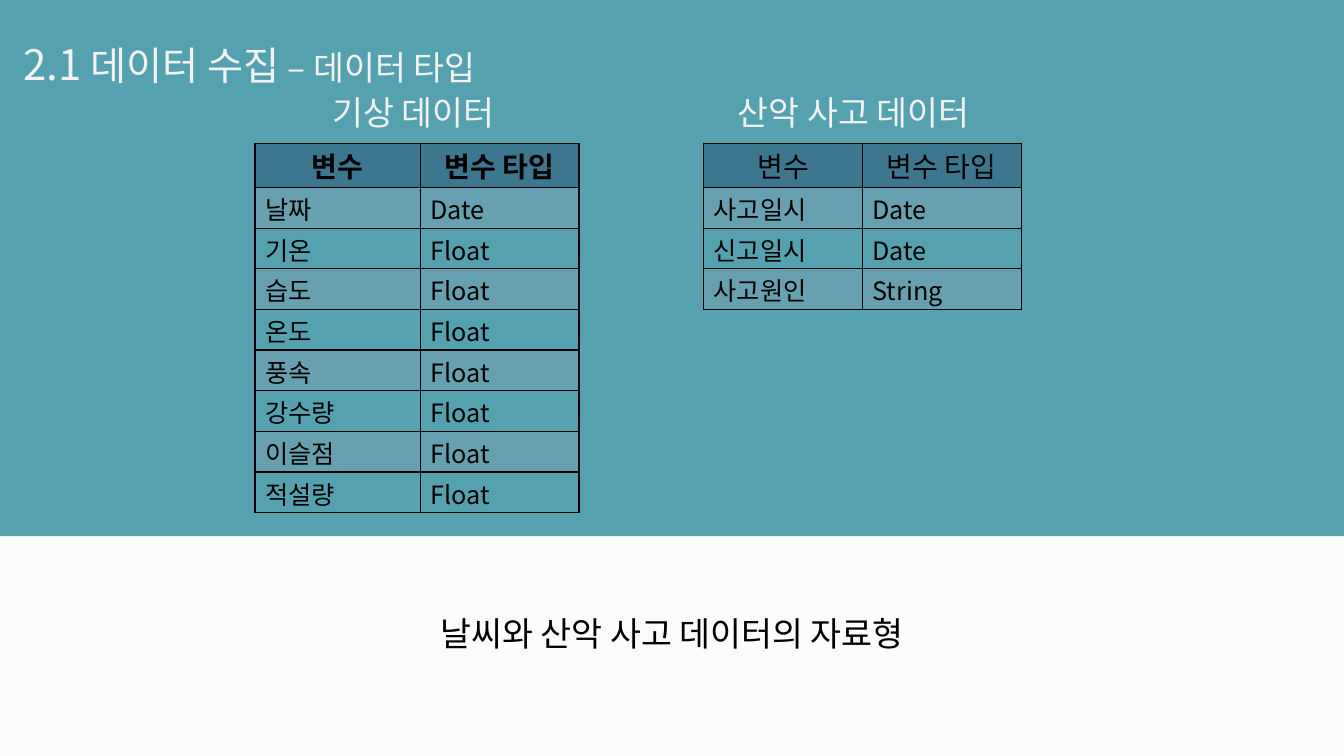
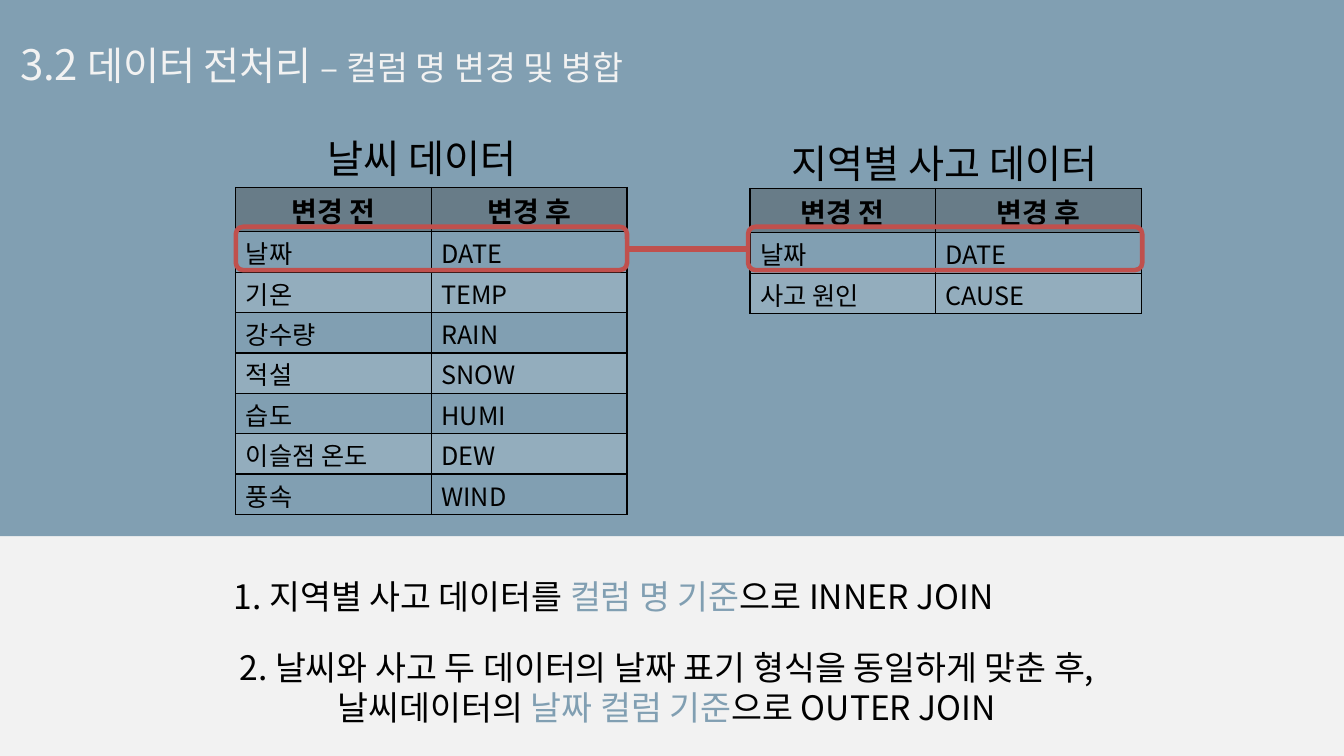
"""Build two slides on the data types and the preprocessing of weather and accident data."""
from lxml.etree import SubElement
from pptx import Presentation
from pptx.dml.color import RGBColor
from pptx.enum.shapes import MSO_CONNECTOR, MSO_SHAPE
from pptx.enum.text import MSO_ANCHOR, PP_ALIGN
from pptx.oxml.ns import qn
from pptx.util import Inches, Pt

WIDTH, HEIGHT = Inches(13.33), Inches(7.5)
FONT = "Noto Sans CJK KR"
BLACK = RGBColor(0, 0, 0)
WHITE = RGBColor(0xFF, 0xFF, 0xFF)
LIGHT = RGBColor(0xF2, 0xF2, 0xF2)
PAPER = RGBColor(0xFC, 0xFC, 0xFC)
TEAL = RGBColor(0x56, 0xA1, 0xB0)
STEEL = RGBColor(0x65, 0x8B, 0xA3)
MIST = RGBColor(0x81, 0x9F, 0xB2)
NAVY = RGBColor(0x17, 0x37, 0x5E)
SLATE = RGBColor(0x68, 0x7C, 0x88)
RED = RGBColor(0xC0, 0x50, 0x4D)
BAND_HEIGHT = 70.93
HEADER_ROW = 5.87


def across(share):
    return int(WIDTH * share / 100)


def down(share):
    return int(HEIGHT * share / 100)


def place(left, top, width, height):
    return across(left), down(top), across(width), down(height)


def paint(fill, color, opacity=100):
    fill.solid()
    fill.fore_color.rgb = color
    if opacity < 100:
        for clr in fill._xPr.iter(qn("a:srgbClr")):
            SubElement(clr, qn("a:alpha"), val=str(opacity * 1000))


def style_run(r, size, color, bold=False):
    r.font.name, r.font.size, r.font.bold = FONT, Pt(size), bold
    r.font.color.rgb = color
    SubElement(r.font._element, qn("a:ea"), typeface=FONT)


def add_text(s, box, paragraphs, align=PP_ALIGN.LEFT, anchor=MSO_ANCHOR.TOP,
             spacing=1, wrap=True):
    tf = s.shapes.add_textbox(*place(*box)).text_frame
    tf.word_wrap, tf.vertical_anchor = wrap, anchor
    for i, runs in enumerate(paragraphs):
        p = tf.add_paragraph() if i else tf.paragraphs[0]
        p.alignment = align
        p.line_spacing = Pt(1.2 * spacing * max(size for _, size, _ in runs))
        for text, size, color in runs:
            r = p.add_run()
            r.text = text
            style_run(r, size, color)


def add_centered(s, box, paragraphs, **options):
    add_text(s, box, paragraphs, align=PP_ALIGN.CENTER, **options)


def add_title(s, left, number, topic, detail):
    runs = [(number, 30, LIGHT), (f" {topic} ", 28, LIGHT), (f"– {detail}", 24, LIGHT)]
    add_text(s, (left, 1.07, 80, 10.67), [runs], spacing=1.5)


def add_band(s, background, color, opacity=100):
    paint(s.background.fill, background)
    sp = s.shapes.add_shape(MSO_SHAPE.RECTANGLE, *place(0, 0, 100, BAND_HEIGHT))
    sp.shadow.inherit = False
    paint(sp.fill, color, opacity)
    sp.line.fill.background()


def add_borders(cell):
    tc_pr = cell._tc.get_or_add_tcPr()
    for side in ("lnL", "lnR", "lnT", "lnB"):
        ln = SubElement(tc_pr, qn(f"a:{side}"), w=str(Pt(1)))
        SubElement(SubElement(ln, qn("a:solidFill")), qn("a:srgbClr"), val=str(BLACK))


def fill_cell(cell, text, paint_args, header, bold):
    size = 20 if header else 18
    add_borders(cell)
    if paint_args:
        paint(cell.fill, *paint_args)
    else:
        cell.fill.background()
    cell.margin_top, cell.margin_bottom = Inches(0.09), Inches(0.01)
    p = cell.text_frame.paragraphs[0]
    p.text = text
    p.line_spacing = Pt(1.2 * size)
    p.alignment = PP_ALIGN.CENTER if header else PP_ALIGN.LEFT
    style_run(p.runs[0], size, BLACK, bold)


def add_data_table(s, corner, columns, row_height, rows, head, stripe, first_stripe, bold=True):
    heights = [HEADER_ROW] + [row_height] * (len(rows) - 1)
    box = place(*corner, sum(columns), sum(heights))
    table = s.shapes.add_table(len(rows), len(columns), *box).table
    table.first_row = table.horz_banding = False
    for column, width in zip(table.columns, columns):
        column.width = across(width)
    for i, (row, values) in enumerate(zip(table.rows, rows)):
        row.height = down(heights[i])
        striped = i % 2 == first_stripe % 2
        paint_args = head if i == 0 else stripe if striped else None
        for cell, value in zip(row.cells, values):
            fill_cell(cell, value, paint_args, i == 0, bold and i == 0)


def add_highlight(s, left, width):
    sp = s.shapes.add_shape(MSO_SHAPE.ROUNDED_RECTANGLE, *place(left, 30, width, 5.73))
    sp.shadow.inherit = False
    sp.fill.background()
    sp.line.color.rgb, sp.line.width = RED, Pt(3.25)


def add_link(s, start, end, top):
    line = s.shapes.add_connector(MSO_CONNECTOR.STRAIGHT, across(start), down(top),
                                  across(end), down(top))
    line.line.color.rgb, line.line.width = RED, Pt(4)
    SubElement(line._element.spPr, qn("a:effectLst"))


def build_types(s):
    add_band(s, PAPER, TEAL)
    add_title(s, 0.98, "2.1", "데이터 수집", "데이터 타입")
    add_text(s, (24, 11.47, 20.33, 6.67), [[("기상 데이터", 24, LIGHT)]])
    add_text(s, (54.16, 11.47, 30.6, 6.67), [[("산악 사고 데이터", 24, LIGHT)]])
    look = {"head": (NAVY, 40), "stripe": (MIST, 40), "first_stripe": 1}
    header = ("변수", "변수 타입")
    floats = ("기온", "습도", "온도", "풍속", "강수량", "이슬점", "적설량")
    weather = [header, ("날짜", "Date")] + [(name, "Float") for name in floats]
    accidents = [header, ("사고일시", "Date"), ("신고일시", "Date"), ("사고원인", "String")]
    add_data_table(s, (18.98, 18.93), (12.3, 11.81), 5.38, weather, **look)
    add_data_table(s, (52.36, 18.93), (11.81, 11.81), 5.38, accidents, bold=False, **look)
    add_centered(s, (18.98, 77.73, 62.04, 8.8),
                 [[("날씨와 산악 사고 데이터의 자료형", 24, BLACK)]], spacing=1.5)


def build_merge(s):
    add_band(s, LIGHT, STEEL, 80)
    add_title(s, 0.75, "3.2", "데이터 전처리", "컬럼 명 변경 및 병합")
    look = {"head": (SLATE,), "stripe": (WHITE, 15), "first_stripe": 2}
    header, date = ("변경 전", "변경 후"), ("날짜", "DATE")
    weather = [header, date, ("기온", "TEMP"), ("강수량", "RAIN"), ("적설", "SNOW"),
               ("습도", "HUMI"), ("이슬점 온도", "DEW"), ("풍속", "WIND")]
    accidents = [header, date, ("사고 원인", "CAUSE")]
    add_data_table(s, (17.55, 24.8), (14.55, 14.55), 5.34, weather, **look)
    add_data_table(s, (55.81, 24.93), (13.8, 15.3), 5.34, accidents, **look)
    add_centered(s, (21.68, 16.67, 19.5, 8.4), [[("날씨 데이터", 28, BLACK)]],
                 anchor=MSO_ANCHOR.MIDDLE)
    add_centered(s, (56.41, 17.33, 27.76, 8.4), [[("지역별 사고 데이터", 28, BLACK)]],
                 anchor=MSO_ANCHOR.MIDDLE)
    add_link(s, 46.59, 55.66, 32.93)
    add_highlight(s, 17.55, 29.11)
    add_highlight(s, 55.66, 29.33)
    inner = [("1. 지역별 사고 데이터를 ", 24, BLACK), ("컬럼 명 기준", 24, MIST),
             ("으로 INNER JOIN", 24, BLACK)]
    outer = [[("2. 날씨와 사고 두 데이터의 날짜 표기 형식을 동일하게 맞춘 후,", 24, BLACK)],
             [("날씨데이터의 ", 24, BLACK), ("날짜 컬럼 기준", 24, MIST),
              ("으로 OUTER JOIN", 24, BLACK)]]
    add_centered(s, (14.63, 75.47, 62.04, 6.67), [inner], wrap=False)
    add_centered(s, (14.4, 84.93, 70.44, 12.13), outer)


def main():
    prs = Presentation()
    prs.slide_width, prs.slide_height = WIDTH, HEIGHT
    for build in (build_types, build_merge):
        build(prs.slides.add_slide(prs.slide_layouts[6]))
    prs.save("out.pptx")


if __name__ == "__main__":
    main()
